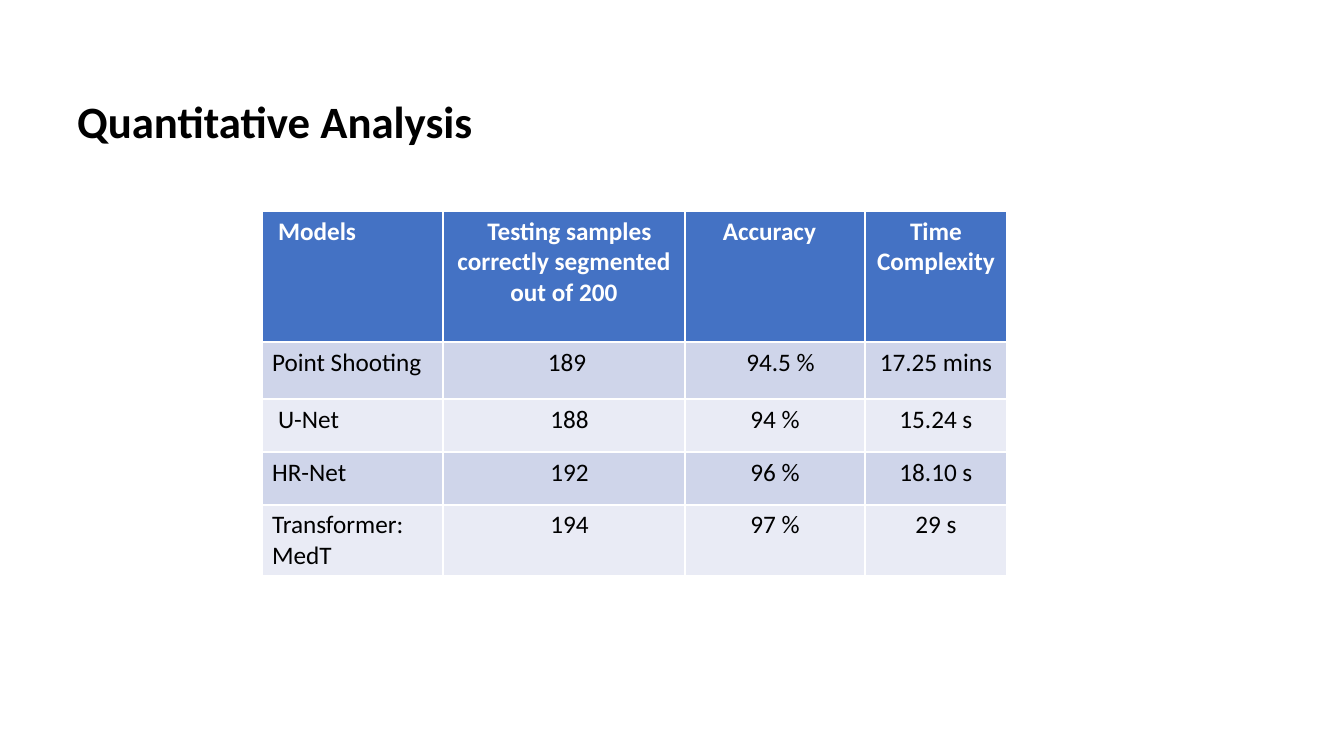
from pptx import Presentation
from pptx.dml.color import RGBColor
from pptx.enum.text import MSO_ANCHOR, MSO_AUTO_SIZE, PP_ALIGN
from pptx.util import Pt

PX = 9071
FONT = "Calibri"
COLORS = {
    "text": "000000",
    "head": "4472C4",
    "head_text": "FFFFFF",
    "odd": "CFD5EA",
    "even": "E9EBF5",
}
COLS = [181, 242, 180, 142]
ROWS = [131, 57, 53, 53, 53]
DATA = [
    ["Models", "Testing samples correctly segmented out of 200",
     "Accuracy", "Time Complexity"],
    ["Point Shooting", "189", "94.5 %", "17.25 mins"],
    ["U-Net", "188", "94 %", "15.24 s"],
    ["HR-Net", "192", "96 %", "18.10 s"],
    ["Transformer: MedT", "194", "97 %", "29 s"],
]
# Indent of the first line in px; a negative value pads the right side
INDENTS = [
    [6, 11, -11, 0],
    [0, 6, 11, 0],
    [6, 11, 0, 0],
    [0, 11, 0, 0],
    [0, 11, 0, 0],
]


def px(count):
    return count * PX


def style(par, size, color, bold, align):
    par.alignment = align
    for run in par.runs:
        font = run.font
        font.name = FONT
        font.size = Pt(size)
        font.bold = bold
        font.color.rgb = RGBColor.from_string(COLORS[color])


def add_title(slide, text):
    title = slide.shapes.title
    title.left, title.top = px(67), px(89)
    title.width, title.height = px(522), px(65)
    frame = title.text_frame
    frame.text = text
    frame.word_wrap = True
    frame.auto_size = MSO_AUTO_SIZE.SHAPE_TO_FIT_TEXT
    frame.vertical_anchor = MSO_ANCHOR.TOP
    style(frame.paragraphs[0], 32, "text", True, PP_ALIGN.LEFT)


def fill_cell(cell, text, row, col):
    head = row == 0
    back = "head" if head else "odd" if row % 2 else "even"
    cell.fill.solid()
    cell.fill.fore_color.rgb = RGBColor.from_string(COLORS[back])
    par = cell.text_frame.paragraphs[0]
    par.text = text
    align = PP_ALIGN.CENTER if col else PP_ALIGN.LEFT
    style(par, 18, "head_text" if head else "text", head, align)
    indent = INDENTS[row][col]
    if indent > 0:
        par._p.get_or_add_pPr().set("indent", str(px(indent)))
    elif indent < 0:
        cell.margin_right += px(-indent)


def add_results(slide):
    frame = slide.shapes.add_table(
        len(ROWS), len(COLS), px(262), px(211), px(sum(COLS)), px(sum(ROWS)))
    table = frame.table
    for col, width in zip(table.columns, COLS):
        col.width = px(width)
    for row, height in zip(table.rows, ROWS):
        row.height = px(height)
    for row, texts in enumerate(DATA):
        for col, text in enumerate(texts):
            fill_cell(table.cell(row, col), text, row, col)


def main():
    deck = Presentation()
    deck.slide_width, deck.slide_height = px(1344), px(756)
    slide = deck.slides.add_slide(deck.slide_layouts[5])
    add_title(slide, "Quantitative Analysis")
    add_results(slide)
    deck.save("out.pptx")


if __name__ == "__main__":
    main()
